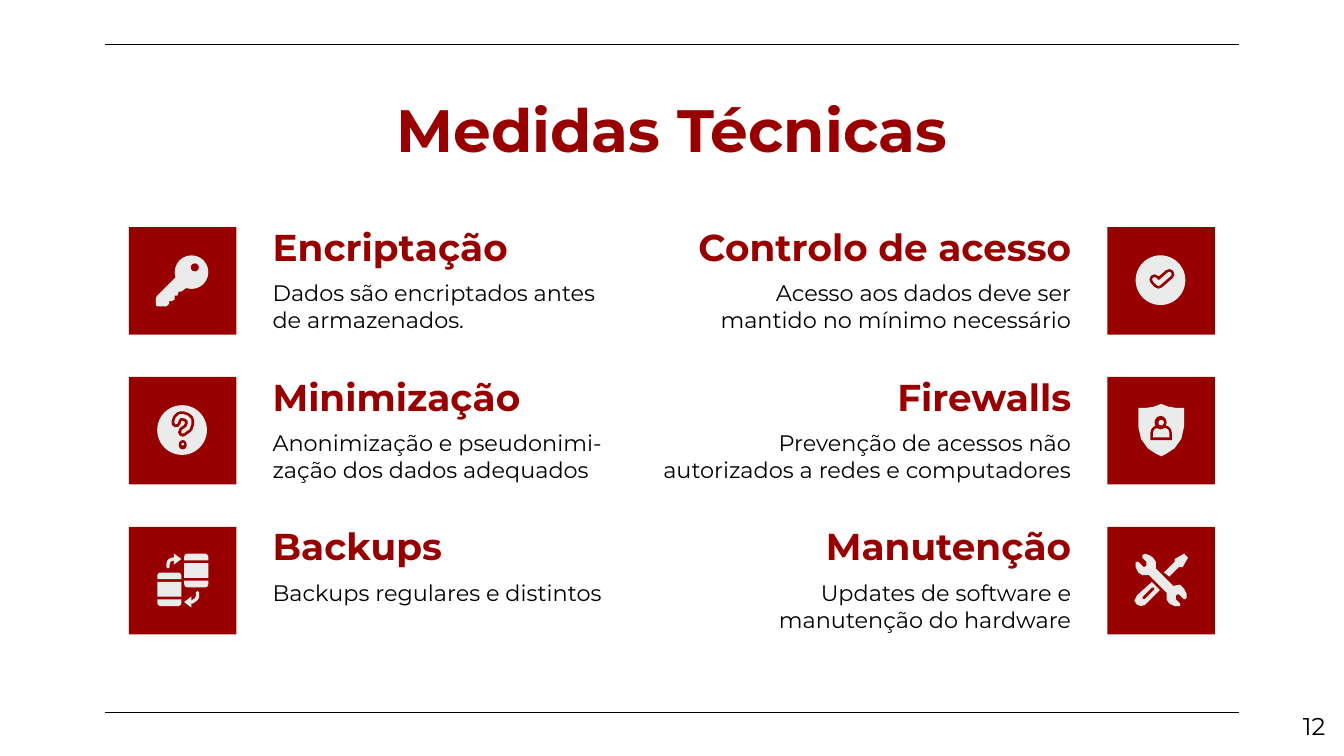
"""Build the slide on technical data protection measures."""
import pptx
import pptx.dml.color
import pptx.enum.shapes
import pptx.enum.text
import pptx.oxml
import pptx.oxml.ns
import pptx.util
from pptx.util import Inches

RED, LIGHT, BLACK = "980000", "EBEBEB", "000000"
SHAPES = pptx.enum.shapes.MSO_SHAPE
ALIGN = pptx.enum.text.PP_ALIGN
ANCHOR = pptx.enum.text.MSO_ANCHOR
OVAL, RECT, ROUND_TOP = SHAPES.OVAL, SHAPES.RECTANGLE, SHAPES.ROUND_2_SAME_RECTANGLE

SLIDE_WIDTH = 10
SLIDE_HEIGHT = SLIDE_WIDTH * 9 / 16
TITLE = "Medidas Técnicas"
PAGE_NUMBER = "12"
RULE_TOPS = (0.33, 5.3)
TILE, FIRST_TOP, ROW_STEP = 0.8, 1.69, 1.115

LEFT_MEASURES = [
    ("Encriptação", 2.84, ["Dados são encriptados antes de armazenados."], 2.84, "key"),
    ("Minimização", 2.84, ["Anonimização e pseudonimi-", "zação dos dados adequados"], 2.84, "question"),
    ("Backups", 2.84, ["Backups regulares e distintos"], 2.84, "databases"),
]
RIGHT_MEASURES = [
    ("Controlo de acesso", 2.99, ["Acesso aos dados deve ser mantido no mínimo necessário"], 3.11, "check"),
    ("Firewalls", 2.84, ["Prevenção de acessos não autorizados a redes e computadores"], 3.31, "shield"),
    ("Manutenção", 2.84, ["Updates de software e manutenção do hardware"], 2.84, "tools"),
]

QUESTION_HOOK = [(0.35, 0.34), (0.36, 0.31), (0.38, 0.29), (0.4, 0.29), (0.43, 0.3), (0.45, 0.32),
                 (0.45, 0.35), (0.44, 0.38), (0.41, 0.4), (0.4, 0.41)]
CHECK_MARK = [(0.35, 0.39), (0.38, 0.42), (0.46, 0.35)]


def database(left, top):
    """Return the three bands of one database symbol."""
    return [("preset", ROUND_TOP, (left, top, 0.18, 0.05), LIGHT, 0),
            ("preset", RECT, (left, top + 0.07, 0.18, 0.11), LIGHT, 0),
            ("preset", ROUND_TOP, (left, top + 0.2, 0.18, 0.05), LIGHT, 180)]


def preset_parts(*parts):
    """Return unrotated preset icon parts."""
    return [("preset", kind, box, color, 0) for kind, box, color in parts]


ICONS = {
    "key": [
        ("polygon", [(0.35, 0.37), (0.21, 0.51), (0.2, 0.53), (0.2, 0.58), (0.21, 0.59), (0.28, 0.59),
                     (0.3, 0.57), (0.3, 0.55), (0.32, 0.55), (0.34, 0.54), (0.34, 0.51), (0.36, 0.51),
                     (0.37, 0.48), (0.39, 0.48), (0.43, 0.45)], LIGHT),
        *preset_parts((OVAL, (0.34, 0.21, 0.25, 0.25), LIGHT), (OVAL, (0.46, 0.27, 0.06, 0.06), RED)),
    ],
    "question": [
        *preset_parts((OVAL, (0.21, 0.21, 0.37, 0.37), LIGHT), (OVAL, (0.37, 0.47, 0.06, 0.07), RED),
                      (OVAL, (0.39, 0.49, 0.02, 0.02), LIGHT)),
        ("stroke", QUESTION_HOOK, RED, 5, False), ("stroke", QUESTION_HOOK, LIGHT, 2, False),
    ],
    "databases": [
        *database(0.21, 0.34), *database(0.41, 0.2),
        ("stroke", [(0.29, 0.3), (0.29, 0.28), (0.3, 0.25), (0.33, 0.24), (0.39, 0.24)], LIGHT, 1.75, True),
        ("stroke", [(0.51, 0.49), (0.51, 0.52), (0.5, 0.54), (0.47, 0.56), (0.41, 0.56)], LIGHT, 1.75, True),
    ],
    "check": [
        *preset_parts((OVAL, (0.21, 0.21, 0.37, 0.37), LIGHT)),
        ("stroke", CHECK_MARK, RED, 5.5, False), ("stroke", CHECK_MARK, LIGHT, 2.5, False),
    ],
    "shield": [
        ("polygon", [(0.4, 0.2), (0.35, 0.22), (0.29, 0.23), (0.23, 0.23), (0.23, 0.37), (0.25, 0.46),
                     (0.3, 0.53), (0.36, 0.57), (0.4, 0.59), (0.44, 0.57), (0.5, 0.53), (0.55, 0.46),
                     (0.57, 0.37), (0.57, 0.23), (0.51, 0.23), (0.45, 0.22)], LIGHT),
        *preset_parts((ROUND_TOP, (0.32, 0.36, 0.16, 0.11), RED), (ROUND_TOP, (0.34, 0.38, 0.12, 0.07), LIGHT),
                      (OVAL, (0.35, 0.29, 0.09, 0.1), RED), (OVAL, (0.38, 0.32, 0.04, 0.04), LIGHT)),
    ],
    "tools": [
        ("polygon", [(0.28, 0.2), (0.26, 0.21), (0.26, 0.23), (0.29, 0.26), (0.29, 0.29), (0.27, 0.3),
                     (0.23, 0.26), (0.21, 0.26), (0.21, 0.3), (0.23, 0.34), (0.26, 0.36), (0.31, 0.36),
                     (0.44, 0.49), (0.44, 0.54), (0.46, 0.57), (0.5, 0.59), (0.54, 0.59), (0.54, 0.57),
                     (0.51, 0.54), (0.51, 0.51), (0.53, 0.5), (0.57, 0.54), (0.59, 0.53), (0.59, 0.5),
                     (0.57, 0.46), (0.54, 0.43), (0.49, 0.44), (0.36, 0.31), (0.36, 0.26), (0.34, 0.23),
                     (0.31, 0.21)], LIGHT),
        ("polygon", [(0.33, 0.41), (0.22, 0.51), (0.2, 0.55), (0.22, 0.58), (0.25, 0.59), (0.28, 0.58),
                     (0.39, 0.47)], LIGHT),
        ("stroke", [(0.27, 0.53), (0.34, 0.46)], RED, 1.5, False),
        ("polygon", [(0.57, 0.2), (0.5, 0.24), (0.5, 0.26), (0.42, 0.34), (0.46, 0.37), (0.53, 0.3),
                     (0.56, 0.3), (0.6, 0.23)], LIGHT),
    ],
}


def rgb(hex_color):
    """Turn a hex string into a colour."""
    return pptx.dml.color.RGBColor.from_string(hex_color)


def apply(target, values):
    """Set each named attribute on the target."""
    for name, value in values.items():
        setattr(target, name, value)


def paint(shape, color):
    """Give a shape a plain fill with no line or shadow."""
    shape.shadow.inherit = False
    shape.fill.solid()
    shape.fill.fore_color.rgb = rgb(color)
    shape.line.fill.background()


def write(shape, paragraphs, size, color, bold=False, align=ALIGN.LEFT, anchor=ANCHOR.TOP):
    """Fill a text shape with uniformly formatted paragraphs."""
    frame = shape.text_frame
    margins = {f"margin_{side}": Inches(0.1) for side in ("left", "top", "right", "bottom")}
    apply(frame, {"word_wrap": True, "auto_size": pptx.enum.text.MSO_AUTO_SIZE.NONE,
                  "vertical_anchor": anchor, **margins})
    frame.text = "\n".join(paragraphs)
    for paragraph in frame.paragraphs:
        paragraph.alignment = align
        font = paragraph.runs[0].font
        apply(font, {"name": "Montserrat", "size": pptx.util.Pt(size), "bold": bold})
        font.color.rgb = rgb(color)


def add_text(slide, box, *content, **formats):
    """Add a text box."""
    write(slide.shapes.add_textbox(*map(Inches, box)), *content, **formats)


def add_preset(slide, kind, box, color, rotation=0):
    """Add a filled preset shape."""
    shape = slide.shapes.add_shape(kind, *map(Inches, box))
    paint(shape, color)
    shape.rotation = rotation
    if kind == ROUND_TOP:
        shape.adjustments[0] = 0.5


def add_outline(slide, points, left, top, close):
    """Add a freeform through points measured from a tile corner."""
    corners = [(Inches(left + x), Inches(top + y)) for x, y in points]
    builder = slide.shapes.build_freeform(*corners[0])
    builder.add_line_segments(corners[1:], close=close)
    return builder.convert_to_shape()


def add_stroke(slide, points, left, top, color, width, arrow):
    """Add an open line with round ends and an optional arrowhead."""
    shape = add_outline(slide, points, left, top, False)
    shape.shadow.inherit = False
    shape.fill.background()
    shape.line.color.rgb = rgb(color)
    shape.line.width = pptx.util.Pt(width)
    line = shape.line._get_or_add_ln()
    line.set("cap", "rnd")
    namespace = pptx.oxml.ns.nsdecls("a")
    line.append(pptx.oxml.parse_xml(f"<a:round {namespace}/>"))
    if arrow:
        line.append(pptx.oxml.parse_xml(f'<a:tailEnd {namespace} type="triangle" w="med" len="sm"/>'))


def add_icon(slide, name, left, top):
    """Draw a tile and the symbol on it."""
    add_preset(slide, RECT, (left, top, TILE, TILE), RED)
    for kind, *details in ICONS[name]:
        if kind == "polygon":
            points, color = details
            paint(add_outline(slide, points, left, top, True), color)
        elif kind == "stroke":
            points, *style = details
            add_stroke(slide, points, left, top, *style)
        else:
            preset, (x, y, width, height), *style = details
            add_preset(slide, preset, (left + x, top + y, width, height), *style)


def add_measures(slide, measures, tile_left, text_edge, align):
    """Lay out one column of measures against its text edge."""
    shift = 1 if align == ALIGN.RIGHT else 0
    for row, (heading, heading_width, description, description_width, icon) in enumerate(measures):
        top = FIRST_TOP + row * ROW_STEP
        add_text(slide, (text_edge - shift * heading_width, top - 0.06, heading_width, 0.47),
                 [heading], 20, RED, bold=True, align=align, anchor=ANCHOR.BOTTOM)
        add_text(slide, (text_edge - shift * description_width, top + 0.29, description_width, 0.53),
                 description, 12, BLACK, align=align)
        add_icon(slide, icon, tile_left, top)


def main():
    """Build and save the presentation."""
    presentation = pptx.Presentation()
    apply(presentation, {"slide_width": Inches(SLIDE_WIDTH), "slide_height": Inches(SLIDE_HEIGHT)})
    slide = presentation.slides.add_slide(presentation.slide_layouts[5])
    for top in RULE_TOPS:
        rule = slide.shapes.add_connector(pptx.enum.shapes.MSO_CONNECTOR.STRAIGHT,
                                          Inches(0.78), Inches(top), Inches(9.22), Inches(top))
        rule.line.color.rgb = rgb(BLACK)
        rule.line.width = pptx.util.Pt(0.75)
        rule._element.spPr.append(pptx.oxml.parse_xml(f"<a:effectLst {pptx.oxml.ns.nsdecls('a')}/>"))
    title = slide.shapes.title
    apply(title, dict(zip(("left", "top", "width", "height"), map(Inches, (0.78, 0.59, 8.44, 0.63)))))
    write(title, [TITLE], 32, RED, bold=True, align=ALIGN.CENTER)
    add_measures(slide, LEFT_MEASURES, 0.96, 1.93, ALIGN.LEFT)
    add_measures(slide, RIGHT_MEASURES, 8.24, 8.07, ALIGN.RIGHT)
    add_text(slide, (9.36, 5.19, 0.6, 0.43), [PAGE_NUMBER], 13, BLACK, align=ALIGN.RIGHT)
    presentation.save("out.pptx")


if __name__ == "__main__":
    main()
